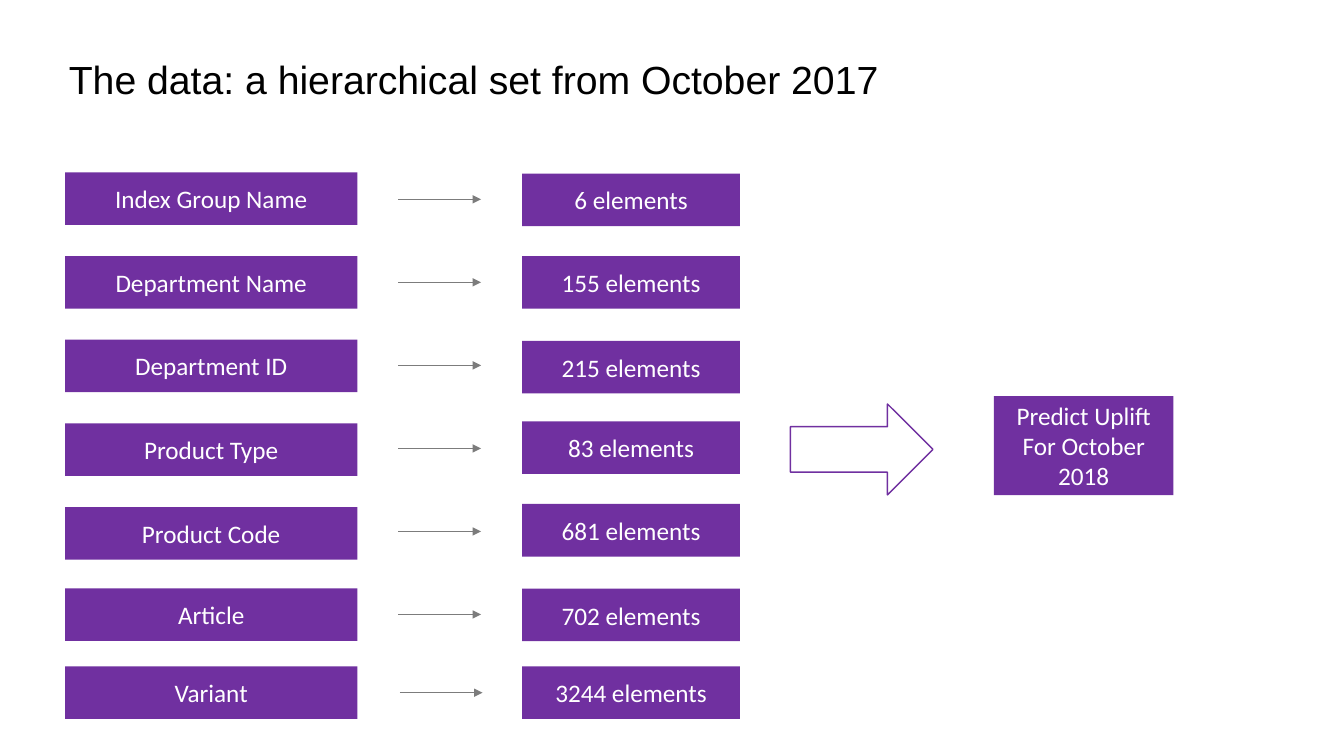
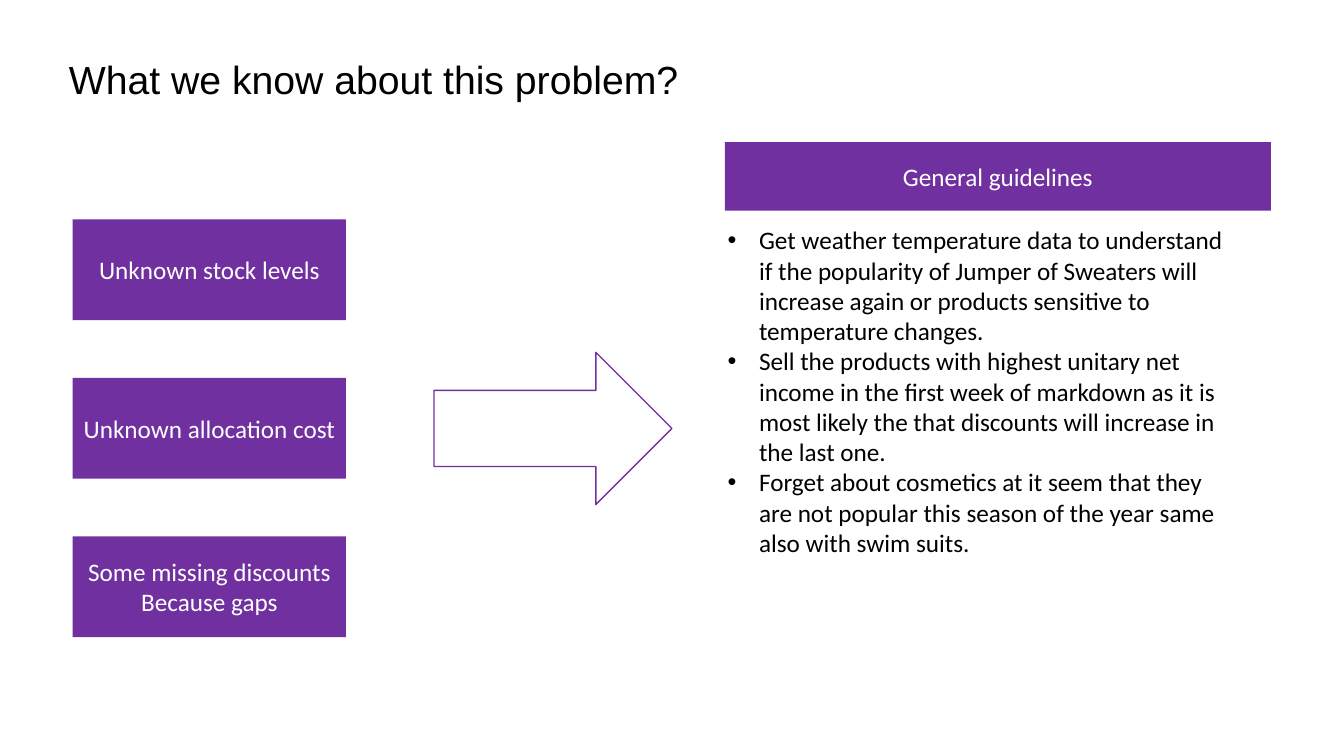
"""Builds two slides on a retail data hierarchy and what is known about it."""
from lxml.etree import SubElement
from pptx import Presentation
from pptx.dml.color import RGBColor
from pptx.enum.shapes import MSO_CONNECTOR as Connector, MSO_SHAPE as Shape
from pptx.enum.text import MSO_ANCHOR as Anchor, PP_ALIGN as Align
from pptx.oxml.ns import qn
from pptx.util import Pt

PURPLE, WHITE, BLACK, GREY = "7030A0", "FFFFFF", "000000", "7C7C7C"

DATA_TITLE = "The data: a hierarchical set from October 2017"
LEVELS = [
    ("Index Group Name", 123.1, "6 elements", 124),
    ("Department Name", 182.9, "155 elements", 183),
    ("Department ID", 242.6, "215 elements", 243.5),
    ("Product Type", 302.4, "83 elements", 301),
    ("Product Code", 362.2, "681 elements", 360),
    ("Article", 420.2, "702 elements", 420.5),
    ("Variant", 476, "3244 elements", 476),
]
GOAL = "Predict Uplift\nFor October 2018"

PROBLEM_TITLE = "What we know about this problem?"
UNKNOWNS = [
    "Unknown stock levels",
    "Unknown allocation cost",
    "Some missing discounts\nBecause gaps",
]
GUIDELINES_HEADING = "General guidelines"
GUIDELINES = [
    "Get weather temperature data to understand if the popularity of Jumper of Sweaters "
    "will increase again or products sensitive to temperature changes.",
    "Sell the products with highest unitary net income in the first week of markdown as it "
    "is most likely the that discounts will increase in the last one.",
    "Forget about cosmetics at it seem that they are not popular this season of the year "
    "same also with swim suits.",
]


def rgb(color):
    return RGBColor.from_string(color)


def points(*lengths):
    return [Pt(n) for n in lengths]


def style_text(tf, size, font, color, align=Align.LEFT, bold=False):
    tf.word_wrap = True
    for p in tf.paragraphs:
        p.alignment = align
        for r in p.runs:
            r.font.size, r.font.name, r.font.bold = Pt(size), font, bold
            r.font.color.rgb = rgb(color)


def add_slide(prs, title):
    s = prs.slides.add_slide(prs.slide_layouts[6])
    tf = s.shapes.add_textbox(*points(0, -0.7, 800, 118.8)).text_frame
    tf.text = title
    tf.margin_left = Pt(49.2)
    tf.vertical_anchor = Anchor.MIDDLE
    tf.paragraphs[0].line_spacing = 0.9
    style_text(tf, 28, "Arial", BLACK)
    return s


def add_box(s, text, x, y, w, h, bold=False):
    sp = s.shapes.add_shape(Shape.RECTANGLE, *points(x, y, w, h))
    sp.shadow.inherit = False
    sp.fill.solid()
    sp.fill.fore_color.rgb = rgb(PURPLE)
    sp.line.fill.background()
    sp.text_frame.text = text
    sp.text_frame.vertical_anchor = Anchor.MIDDLE
    style_text(sp.text_frame, 18, "Calibri", WHITE, Align.CENTER, bold)


def add_block_arrow(s, x, y, w, h):
    sp = s.shapes.add_shape(Shape.RIGHT_ARROW, *points(x, y, w, h))
    sp.shadow.inherit = False
    sp.fill.solid()
    sp.fill.fore_color.rgb = rgb(WHITE)
    sp.line.color.rgb = rgb(PURPLE)
    sp.line.width = Pt(1)


def add_thin_arrow(s, x, y, length):
    line = s.shapes.add_connector(Connector.STRAIGHT, *points(x, y, x + length, y))
    line.line.color.rgb = rgb(GREY)
    line.line.width = Pt(0.5)
    SubElement(line.line._get_or_add_ln(), qn("a:tailEnd"), type="triangle")
    SubElement(line._element.spPr, qn("a:effectLst"))


def add_bullets(s, items, x, y, w, h):
    tf = s.shapes.add_textbox(*points(x, y, w, h)).text_frame
    tf.text = "\n".join(items)
    style_text(tf, 18, "Calibri", BLACK)
    for p in tf.paragraphs:
        pPr = p._p.get_or_add_pPr()
        pPr.set("marL", str(Pt(22.5)))
        pPr.set("indent", str(-Pt(22.5)))
        SubElement(pPr, qn("a:buFont"), typeface="Arial")
        SubElement(pPr, qn("a:buChar"), char="•")


def build_data_slide(prs):
    s = add_slide(prs, DATA_TITLE)
    height, last = 37.6, len(LEVELS) - 1
    for i, (level, level_top, count, count_top) in enumerate(LEVELS):
        add_box(s, level, 46.5, level_top, 208.8, height)
        add_box(s, count, 373, count_top, 155.6, height)
        if i < last:
            add_thin_arrow(s, 284.6, 142.4 + 59.3 * i, 59)
        else:
            add_thin_arrow(s, 285.7, count_top + height / 2, 59)
    add_block_arrow(s, 564.6, 288.5, 101.8, 65)
    add_box(s, GOAL, 710, 283, 128.2, 70.6)


def build_problem_slide(prs):
    s = add_slide(prs, PROBLEM_TITLE)
    for i, unknown in enumerate(UNKNOWNS):
        add_box(s, unknown, 52, 156.7 + 113.2 * i, 195.2, 72)
    add_block_arrow(s, 310, 251.7, 170, 108.8)
    add_bullets(s, GUIDELINES, 512.6, 157, 370.8, 269.3)
    add_box(s, GUIDELINES_HEADING, 517.8, 101.5, 390, 49)


def main():
    prs = Presentation()
    prs.slide_width, prs.slide_height = Pt(960), Pt(540)
    build_data_slide(prs)
    build_problem_slide(prs)
    prs.save("out.pptx")


if __name__ == "__main__":
    main()
